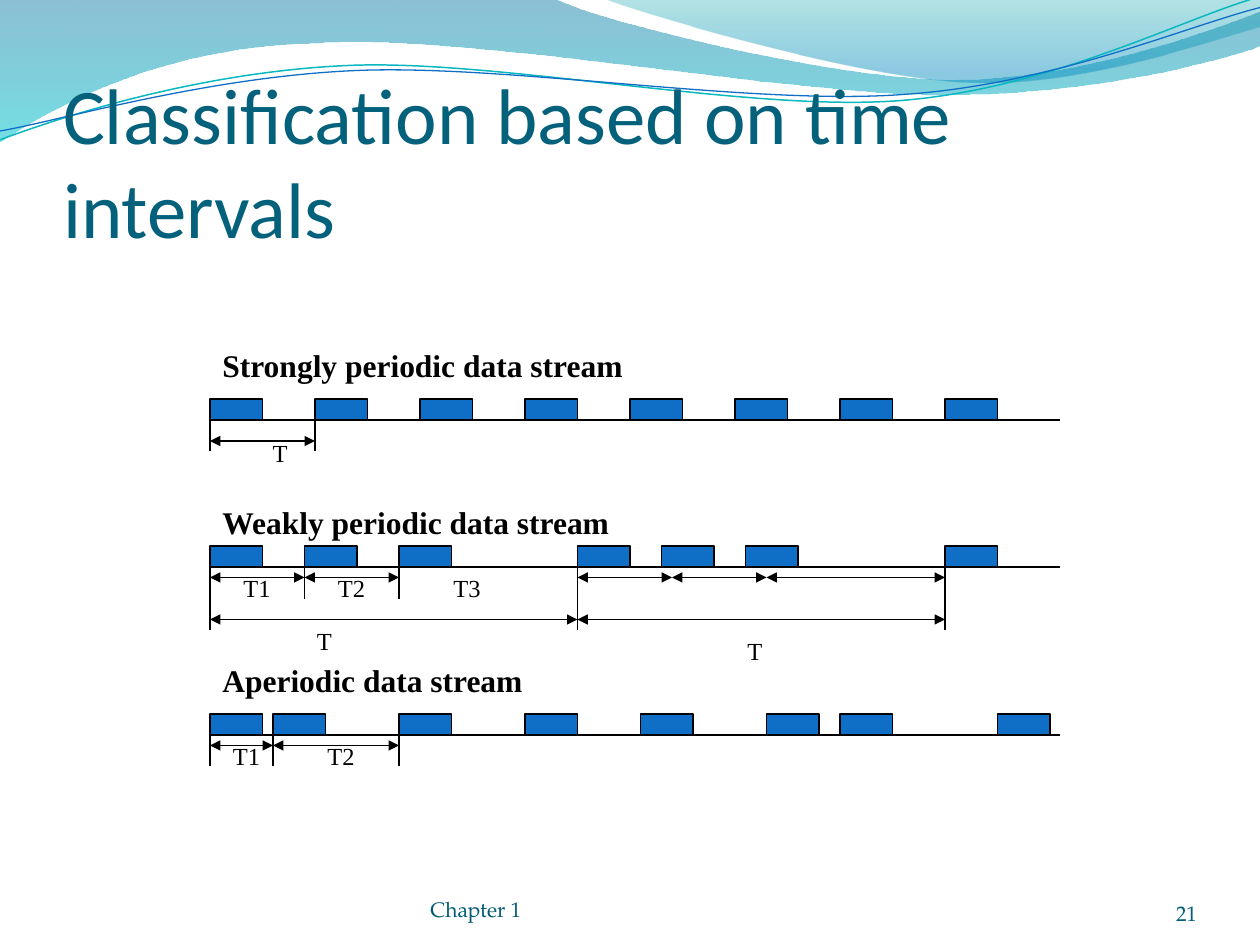
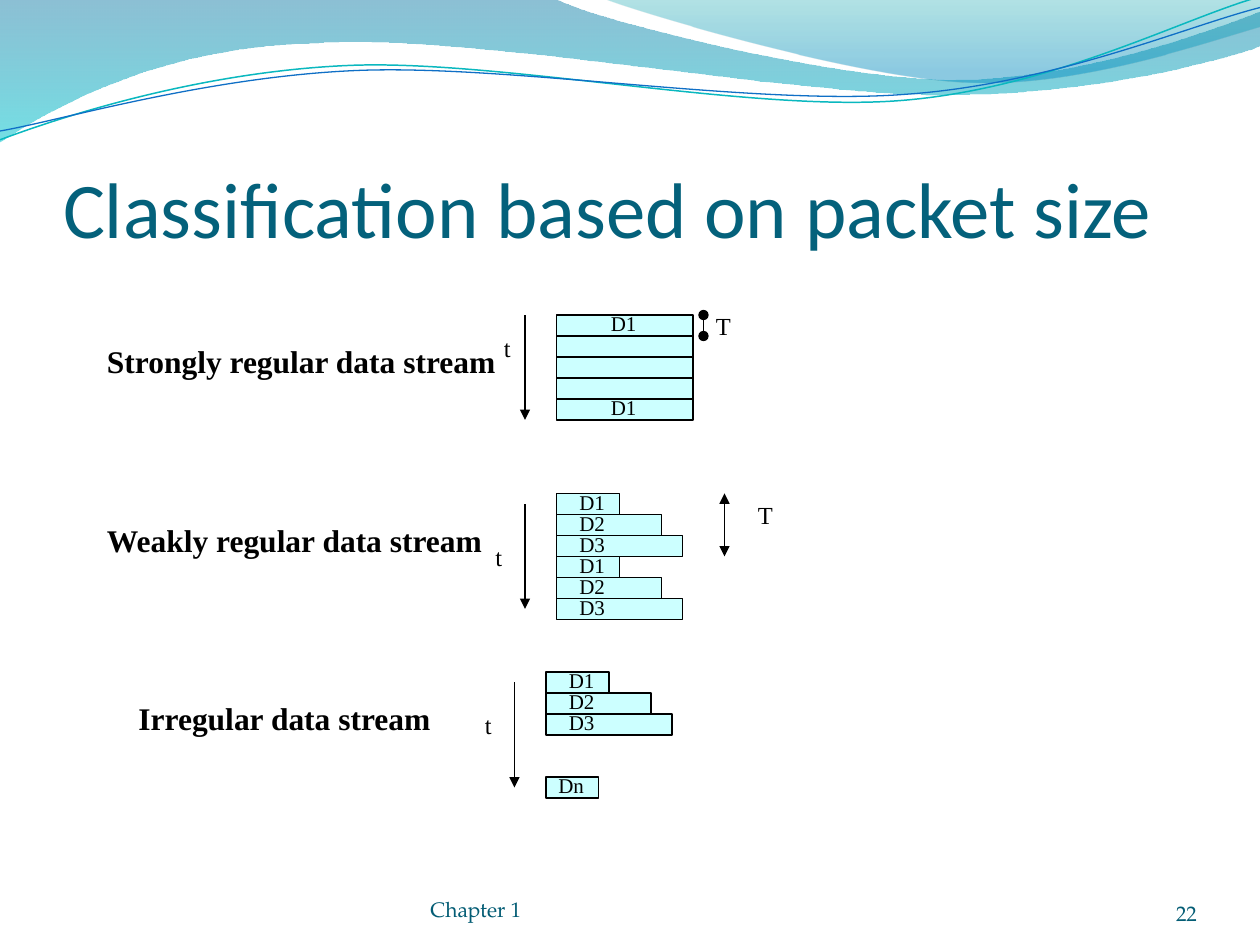
from lxml import etree
from pptx import Presentation
from pptx.dml import color
from pptx.enum import shapes, text
from pptx.oxml import ns
from pptx.util import Cm, Pt

INK, BLUE, PALE, TEAL, DEEP = "000000", "0F6FC6", "CCFFFF", "04617B", "045D75"
SERIF, SANS, BOOK = "Times New Roman", "Calibri", "TeX Gyre Pagella"
INCH = Cm(2.54)
BOTH = ("triangle", "triangle")
DOWN = (None, "triangle")

BANDS = [
    ([(0, 0), (4.4, -0.01),
      (4.76, 0.17, 6.64, 0.63, 7.58, 0.63), (8.53, 0.63, 9.58, 0.26, 10, 0.09),
      (10.01, 0.36),
      (9.83, 0.44, 8.7, 0.76, 7.46, 0.75), (6.22, 0.75, 3.82, 0.28, 2.57, 0.34),
      (1.29, 0.36, 0.46, 0.83, -0.01, 1.13)],
     [(0, "0074A1", 45), (1, "00C6CF", 55)]),
    ([(4.79, -0.01),
      (5.09, 0.11, 6.82, 0.62, 7.69, 0.65), (8.56, 0.69, 9.61, 0.32, 10, 0.21),
      (10, 0)],
     [(0, "00A1A9", 30), (0.8, "008BBF", 45)]),
]
WAVES = [
    ([(0, 1.11), (0.48, 0.93, 1.58, 0.57, 2.77, 0.52), (3.95, 0.47, 5.93, 0.89, 7.13, 0.8),
      (8.33, 0.71, 9.38, 0.15, 9.98, -0.02)], "0AB8BF", 0.85),
    ([(0, 1.04), (0.47, 0.96, 1.64, 0.61, 2.83, 0.56), (4.03, 0.51, 5.97, 0.84, 7.17, 0.75),
      (8.36, 0.67, 9.41, 0.21, 10, 0.06)], BLUE, 0.75),
]


def inch(n):
    """Turn inches into a length."""
    return round(n * INCH)


def unit(n):
    """Turn grid units, twelve to the inch, into a length."""
    return inch(n / 12)


def hue(code):
    """Turn a hex string into a colour."""
    return color.RGBColor.from_string(code)


def write(box, words, size=14, font=SERIF, tone=INK, bold=False, wrap=True,
          grow=True, side=text.PP_ALIGN.LEFT, low=False, pads=None):
    """Put formatted text in a box."""
    frame = box.text_frame
    frame.word_wrap = wrap
    fit = text.MSO_AUTO_SIZE
    frame.auto_size = fit.SHAPE_TO_FIT_TEXT if grow else fit.NONE
    if low:
        frame.vertical_anchor = text.MSO_ANCHOR.BOTTOM
    if pads:
        (frame.margin_left, frame.margin_top,
         frame.margin_right, frame.margin_bottom) = map(inch, pads)
    para = frame.paragraphs[0]
    para.alignment = side
    run = para.add_run()
    run.text = words
    run.font.size, run.font.name, run.font.bold = Pt(size), font, bold
    run.font.color.rgb = hue(tone)


def label(slide, words, x, y, wide, high=4, **form):
    """Add a text box placed on the grid."""
    box = slide.shapes.add_textbox(*map(unit, (x, y, wide, high)))
    write(box, words, **form)


def head(slide, words, x, y, wide):
    """Add the bold name of a stream."""
    label(slide, words, x, y, wide, 4.8, size=18, bold=True, wrap=False)


def tag(slide, words, x, y):
    """Add the small name of a packet."""
    label(slide, words, x, y, 5, 3.6, size=12, wrap=False)


def block(slide, x, y, wide, high=2, fill=PALE):
    """Add an outlined rectangle."""
    box = slide.shapes.add_shape(shapes.MSO_SHAPE.RECTANGLE,
                                 *map(unit, (x, y, wide, high)))
    box.shadow.inherit = False
    box.fill.solid()
    box.fill.fore_color.rgb = hue(fill)
    box.line.color.rgb = hue(INK)
    box.line.width = Pt(0.75)


def rule(slide, x1, y1, x2, y2, ends=(None, None)):
    """Add a straight line with optional heads."""
    line = slide.shapes.add_connector(shapes.MSO_CONNECTOR.STRAIGHT,
                                      *map(unit, (x1, y1, x2, y2)))
    line.line.color.rgb = hue(INK)
    line.line.width = Pt(0.75)
    props = line.element.spPr
    for name, kind in zip(("a:headEnd", "a:tailEnd"), ends):
        if kind:
            etree.SubElement(props.find(ns.qn("a:ln")), ns.qn(name), type=kind)
    etree.SubElement(props, ns.qn("a:effectLst"))


def curve(slide, parts, close):
    """Draw an outline of lines (one point) and cubic curves (three)."""
    spots = [(inch(part[i]), inch(part[i + 1]))
             for part in parts for i in range(0, len(part), 2)]
    pen = slide.shapes.build_freeform(*spots[0])
    pen.add_line_segments(spots[1:], close=close)
    form = pen.convert_to_shape()
    form.shadow.inherit = False
    legs = iter(list(form.element.iter(ns.qn("a:lnTo"))))
    for part in parts[1:]:
        leg = next(legs)
        if len(part) == 6:
            bend = etree.Element(ns.qn("a:cubicBezTo"))
            leg.addprevious(bend)
            for old in (leg, next(legs), next(legs)):
                bend.append(old[0])
                old.getparent().remove(old)
    return form


def band(slide, parts, stops):
    """Add a translucent gradient band."""
    form = curve(slide, parts, True)
    form.line.fill.background()
    form.fill.gradient()
    form.fill.gradient_angle = 270
    for stop, (at, code, _) in zip(form.fill.gradient_stops, stops):
        stop.position = at
        stop.color.rgb = hue(code)
    for node, (_, _, part) in zip(form.element.iter(ns.qn("a:srgbClr")), stops):
        etree.SubElement(node, ns.qn("a:alpha"), val=str(part * 1000))
    return form


def wave(slide, parts, code, thick):
    """Add a thin curved line."""
    form = curve(slide, parts, False)
    form.fill.background()
    form.line.color.rgb = hue(code)
    form.line.width = Pt(thick)
    return form


def dress(slide, base):
    """Move the shared bands and waves to the layout."""
    forms = [band(slide, *row) for row in BANDS] + [wave(slide, *row) for row in WAVES]
    for i, form in enumerate(forms):
        base.shapes.element.insert(2 + i, form.element)


def frame(slide, name, page, wide):
    """Add the title, the footer and the page number."""
    top = slide.shapes.title
    top.left, top.top, top.width, top.height = map(inch, (0.5, 0.77, 9.08, 1.25))
    write(top, name, size=45, font=SANS, tone=TEAL, grow=False, low=True,
          pads=(0, 0.05, 0, 0))
    foot = dict(size=12, font=BOOK, tone=DEEP, grow=False, low=True, pads=(0,) * 4)
    label(slide, "Chapter 1", 41, 81.75, wide, 6, **foot)
    label(slide, page, 104, 83.4, 10, 4.8, side=text.PP_ALIGN.RIGHT, **foot)


def stream(slide, y, starts, ticks, spans):
    """Draw a time axis with packets, ticks and measured spans."""
    rule(slide, 20, y, 101, y)
    for x in starts:
        block(slide, x, y - 2, 5, fill=BLUE)
    for x, drop in ticks:
        rule(slide, x, y, x, y + drop)
    for x1, x2, drop in spans:
        rule(slide, x1, y + drop, x2, y + drop, BOTH)


def times(slide):
    """Draw the streams sorted by time interval."""
    stream(slide, 40, range(20, 91, 10), [(20, 3), (30, 3)], [(20, 30, 2)])
    stream(slide, 54, (20, 29, 38, 55, 63, 71, 90),
           [(20, 6), (29, 3), (38, 3), (55, 6), (90, 6)],
           [(20, 29, 1), (29, 38, 1), (55, 64, 1), (64, 73, 1), (73, 90, 1),
            (20, 55, 5), (55, 90, 5)])
    stream(slide, 70, (20, 26, 38, 50, 61, 73, 80, 95),
           [(20, 3), (26, 3), (38, 3)], [(20, 26, 1), (26, 38, 1)])
    head(slide, "Strongly periodic data stream", 20, 32.4, 40.7)
    head(slide, "Weakly periodic data stream", 20, 47.35, 39.5)
    head(slide, "Aperiodic data stream", 20, 62.4, 31.1)
    label(slide, "T", 24.8, 41.15, 3.8, wrap=False)
    for words, x, y in (("T1", 22, 54), ("T2", 31, 54), ("T3", 42, 54),
                        ("T1", 21, 70), ("T2", 30, 70)):
        label(slide, words, x, y, 5)
    for x, y in ((29, 59), (70, 60)):
        label(slide, "T", x, y, 4)


def stack(slide, x, y, count):
    """Pile packets of three sizes, in turn."""
    for i in range(count):
        block(slide, x, y + 2 * i, (6, 10, 12)[i % 3])
    for i in range(count):
        tag(slide, f"D{i % 3 + 1}", x + 1, y + 2 * i - 1)


def sizes(slide):
    """Draw the streams sorted by packet size."""
    block(slide, 53, 30, 13, 10)
    for y in range(32, 40, 2):
        rule(slide, 53, y, 66, y)
    for y in (29, 37):
        tag(slide, "D1", 57, y)
    rule(slide, 67, 30, 67, 32, ("oval", "oval"))
    label(slide, "T", 67, 29, 3.8)
    stack(slide, 53, 47, 6)
    rule(slide, 69, 47, 69, 53, BOTH)
    label(slide, "T", 71, 47, 3)
    stack(slide, 52, 64, 3)
    block(slide, 52, 74, 5)
    tag(slide, "Dn", 52, 73)
    head(slide, "Strongly regular data stream", 9, 32, 39.7)
    head(slide, "Weakly regular data stream", 9, 49, 38.5)
    head(slide, "Irregular data stream", 12, 66, 30.4)
    for x, y, left, top in ((50, 30, 46.8, 31.15), (50, 48, 46, 51), (49, 65, 45, 67)):
        rule(slide, x, y, x, y + 10, DOWN)
        label(slide, "t", left, top, 3.1, wrap=False)


def main():
    """Build and save the slides."""
    deck = Presentation()
    deck.slide_width, deck.slide_height = Cm(25.4), Cm(19.05)
    base = deck.slide_layouts[5]
    one, two = (deck.slides.add_slide(base) for _ in range(2))
    dress(one, base)
    frame(one, "Classification based on time intervals", "21", 43)
    times(one)
    frame(two, "Classification based on packet size", "22", 47)
    sizes(two)
    deck.save("out.pptx")


main()
